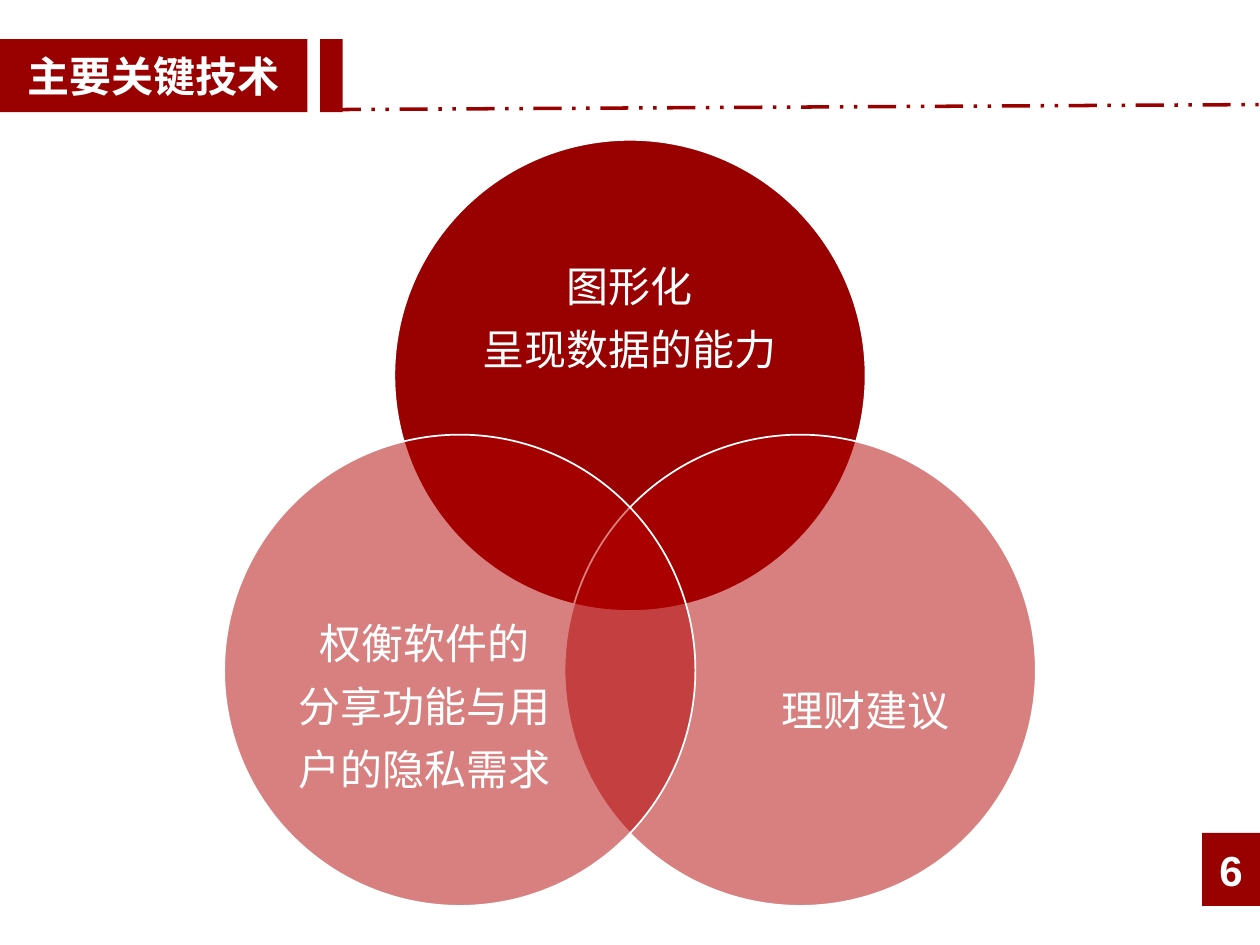
import math
from dataclasses import dataclass

from lxml import etree
from pptx import Presentation
from pptx import util as u
from pptx.dml.color import RGBColor
from pptx.enum import dml, shapes, text
from pptx.oxml.ns import qn


@dataclass(frozen=True)
class Theme:
    main: str = "990000"
    overlay: str = "B20000"
    light: str = "FFFFFF"
    latin: str = "Arial"
    cjk: str = "Noto Sans CJK SC"
    size: int = 24
    spacing: float = 1.25
    overlay_alpha: int = 50


THEME = Theme()
WIDTH, HEIGHT = 10, 7.5

# Content
TITLE = "主要关键技术"
PAGE_NUMBER = "6"
# Circles from back to front: angle around the centre, fill, alpha in percent
CIRCLES = [
    (-90, THEME.main, 100),
    (30, THEME.overlay, THEME.overlay_alpha),
    (150, THEME.overlay, THEME.overlay_alpha),
]
# Labels: lines, centre x, top, width, height, wrapping
LABELS = [
    (["图形化", "呈现数据的能力"], 5, 1.92, 2.53, 1.1, False),
    (["权衡软件的", "分享功能与用户的隐私需求"], 3.37, 4.75, 2.22, 1.6, True),
    (["理财建议"], 6.87, 5.28, 1.55, 0.6, True),
]

# Layout
BAR_TOP, BAR_HEIGHT = 0.31, 0.58
TITLE_WIDTH, ACCENT_WIDTH, GAP = 2.44, 0.18, 0.1
BADGE_WIDTH, BADGE_TOP = 0.46, 6.61
VENN_X, VENN_Y, VENN_RADIUS, DIAMETER = WIDTH / 2, 4.54, 1.56, 3.74


def rgb(color):
    return RGBColor.from_string(color)


def inches(*lengths):
    return [u.Inches(length) for length in lengths]


def write(frame, lines, font_name, bold=False, spacing=None):
    frame.text = "\n".join(lines)
    for para in frame.paragraphs:
        para.alignment = text.PP_ALIGN.CENTER
        if spacing:
            para.line_spacing = spacing
        font = para.font
        font.name, font.size, font.bold = font_name, u.Pt(THEME.size), bold
        font.color.rgb = rgb(THEME.light)
        properties = para._p.pPr.find(qn("a:defRPr"))
        east_asian = etree.Element(qn("a:ea"), typeface=THEME.cjk)
        properties.find(qn("a:latin")).addnext(east_asian)


def add_filled(page, kind, box, color):
    shape = page.shapes.add_shape(kind, *inches(*box))
    shape.shadow.inherit = False
    shape.fill.solid()
    shape.fill.fore_color.rgb = rgb(color)
    return shape


def add_bar(page, box, caption=None):
    bar = add_filled(page, shapes.MSO_SHAPE.RECTANGLE, box, THEME.main)
    bar.line.fill.background()
    if caption:
        bar.text_frame.vertical_anchor = text.MSO_ANCHOR.MIDDLE
        write(bar.text_frame, [caption], THEME.latin, bold=True)


def add_rule(page):
    rule = page.shapes.add_connector(
        shapes.MSO_CONNECTOR.STRAIGHT, *inches(2.64, 0.87, 9.99, 0.83))
    rule.line.color.rgb = rgb(THEME.main)
    rule.line.width = u.Pt(2)
    rule.line.dash_style = dml.MSO_LINE.DASH_DOT_DOT
    etree.SubElement(rule._element.spPr, qn("a:effectLst"))


def add_circle(page, angle, color, alpha):
    turn = math.radians(angle)
    left = VENN_X + VENN_RADIUS * math.cos(turn) - DIAMETER / 2
    top = VENN_Y + VENN_RADIUS * math.sin(turn) - DIAMETER / 2
    circle = add_filled(page, shapes.MSO_SHAPE.OVAL,
                        (left, top, DIAMETER, DIAMETER), color)
    circle.line.color.rgb = rgb(THEME.light)
    circle.line.width = u.Pt(1)
    if alpha < 100:
        fill = circle._element.spPr.find(qn("a:solidFill"))
        etree.SubElement(fill[0], qn("a:alpha"), val=str(alpha * 1000))


def add_label(page, lines, center, top, width, height, wrap):
    box = page.shapes.add_textbox(
        *inches(center - width / 2, top, width, height))
    box.text_frame.word_wrap = wrap
    box.text_frame.auto_size = text.MSO_AUTO_SIZE.SHAPE_TO_FIT_TEXT
    write(box.text_frame, lines, THEME.cjk, spacing=THEME.spacing)


def main():
    deck = Presentation()
    deck.slide_width, deck.slide_height = inches(WIDTH, HEIGHT)
    page = deck.slides.add_slide(deck.slide_layouts[6])

    # Page number and title band
    add_bar(page, (WIDTH - BADGE_WIDTH, BADGE_TOP, BADGE_WIDTH, BAR_HEIGHT),
            PAGE_NUMBER)
    add_bar(page, (0, BAR_TOP, TITLE_WIDTH, BAR_HEIGHT), TITLE)
    add_bar(page, (TITLE_WIDTH + GAP, BAR_TOP, ACCENT_WIDTH, BAR_HEIGHT))
    add_rule(page)

    # Venn diagram: circles first, labels on top
    for circle in CIRCLES:
        add_circle(page, *circle)
    for label in LABELS:
        add_label(page, *label)

    deck.save("out.pptx")


if __name__ == "__main__":
    main()
